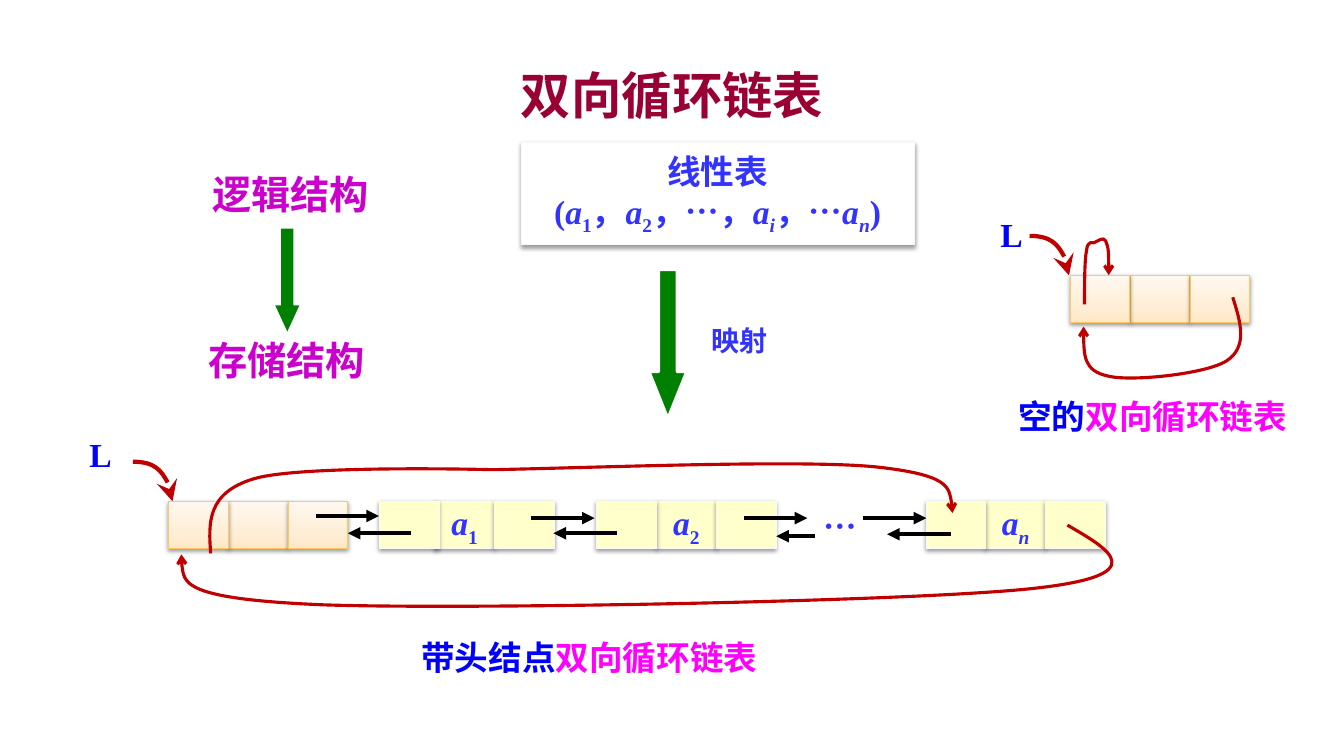
"""Build a slide on the doubly linked circular list."""
from copy import deepcopy

from lxml import etree
from pptx import Presentation
from pptx.dml.color import RGBColor
from pptx.enum import shapes, text
from pptx.oxml import ns
from pptx.util import Pt

WHITE = RGBColor(0xFF, 0xFF, 0xFF)
BLACK = RGBColor(0, 0, 0)
EDGE = RGBColor(0xF9, 0xF9, 0xF9)
YELLOW = RGBColor(0xFF, 0xFF, 0xCC)
ORANGE = RGBColor(0xFD, 0xC9, 0x60)
PEACH = [(0, RGBColor(0xFF, 0xE7, 0xC6)), (0.35, RGBColor(0xFF, 0xEE, 0xD7)),
         (1, RGBColor(0xFF, 0xF8, 0xF0))]
GREEN = RGBColor(0, 0x80, 0)
RED = RGBColor(0xC0, 0, 0)
MAROON = RGBColor(0x99, 0, 0x33)
PURPLE = RGBColor(0xCC, 0, 0xCC)
INDIGO = RGBColor(0x33, 0x33, 0xFF)
BLUE = RGBColor(0, 0, 0xFF)
MAGENTA = RGBColor(0xFF, 0, 0xFF)
SERIF, SANS = "Times New Roman", "Noto Sans CJK SC"
CENTER, LEFT = text.PP_ALIGN.CENTER, text.PP_ALIGN.LEFT

CELL_WIDTH, CELL_HEIGHT, CELL_PITCH = 42.7, 34, 42.8
LIST_TOP, EMPTY_TOP = 358.1, 196.6
ITALIC, SUB, ITALIC_SUB = "i", "s", "is"
SEQUENCE = [[("线性表", "")],
            [("(", ""), ("a", ITALIC), ("1", SUB), ("，", ""), ("a", ITALIC), ("2", SUB),
             ("，…，", ""), ("a", ITALIC), ("i", ITALIC_SUB), ("，…", ""), ("a", ITALIC),
             ("n", ITALIC_SUB), (")", "")]]
HEADERS = [(120.3, LIST_TOP), (764.5, EMPTY_TOP)]
NODES = [(271, 310.5, ("1", SUB)), (426.3, 468.9, ("2", SUB)), (661.5, 704.1, ("n", ITALIC_SUB))]
LABELS = [
    ((72, 40.4, 816, 54), [("双向循环链表", MAROON)], 36, SANS, CENTER),
    ((139.7, 118.1, 136, 41), [("逻辑结构", PURPLE)], 28, SERIF, CENTER),
    ((136.8, 236.9, 136, 41), [("存储结构", PURPLE)], 28, SERIF, CENTER),
    ((491.6, 227.5, 73.4, 31), [("映射", INDIGO)], 20, SANS, CENTER),
    ((577.4, 357.8, 45.4, 36), [("…", INDIGO)], 24, SANS, CENTER),
    ((56.7, 306.3, 33.8, 36), [("L", BLUE)], 24, SERIF, LEFT),
    ((707.4, 149, 33.8, 36), [("L", BLUE)], 24, SERIF, LEFT),
    ((293.8, 451.4, 307.4, 36), [("带头结点", BLUE), ("双向循环链表", MAGENTA)], 24, SERIF, LEFT),
    ((720.3, 279.4, 209.5, 36), [("空的", BLUE), ("双向循环链表", MAGENTA)], 24, SERIF, LEFT),
]
MAPPINGS = [((463, 192.2, 28.1, 108), 1.249, WHITE), ((196.6, 163.4, 17.3, 73.4), 1.083, None)]
LINKS = [(225.4, 270.7, 368.6), (379.4, 424.8, 370.1), (531.4, 576.7, 370.1),
         (616.3, 661.7, 370.1), (293.8, 248.4, 380.9), (440.6, 395.3, 380.9),
         (582.5, 554.4, 383), (679, 633.6, 381.6)]
POINTERS = [(95, 329.8), (735.4, 168.5)]
POINTER_SIZE, POINTER_PULL = 28.2, 15.5
LOOPS = [
    [(762.5, 375.1), (793.4, 393.1), (825.1, 411.1), (736.6, 420.5),
     (648, 429.8), (331.2, 435.6), (229.7, 432), (128.9, 427.7), (129.6, 411.8), (129.6, 396)],
    [(150.5, 395.3), (149, 373.7), (147.6, 352.1), (181.4, 342), (214.6, 331.9), (352.1, 335.5),
     (352.1, 335.5), (425.5, 334.1), (569.5, 328.3), (624.2, 333.4), (679, 339.1),
     (679.7, 352.8), (680.4, 366.5)],
    [(880.6, 212.4), (886.3, 230.4), (891.4, 247.7), (876.2, 257.8), (861.8, 267.1),
     (807.8, 272.9), (791.3, 268.6), (774, 265), (774, 249.1), (774, 233.3)],
    [(774.7, 217.4), (774.7, 201.6), (774.7, 185.8), (776.2, 178.6), (776.9, 171.4),
     (781.2, 173.5), (781.2, 173.5), (783.4, 172.8), (788.4, 168.5), (789.8, 172.1),
     (792, 176.4), (792, 186.5), (792, 196.6)],
]


def write(para, words, size=24, font=SERIF, color=INDIGO, style=""):
    """Add one bold span of text to a paragraph."""
    span = para.add_run()
    span.text = words
    span.font.size, span.font.name, span.font.bold = Pt(size), font, True
    span.font.color.rgb = color
    span.font.italic = "i" in style
    props = span.font._element
    if "s" in style:
        props.set("baseline", "-25000")
    etree.SubElement(props, ns.qn("a:ea"), typeface=SANS)


def fill_text(shape, lines):
    """Centre styled lines in a shape."""
    frame = shape.text_frame
    frame.word_wrap = False
    frame.vertical_anchor = text.MSO_ANCHOR.MIDDLE
    for index, line in enumerate(lines):
        para = frame.add_paragraph() if index else frame.paragraphs[0]
        para.alignment = CENTER
        for words, style in line:
            write(para, words, style=style)


def add_card(page, place, fill, edge):
    """Add a shadowed rectangle with a plain or gradient fill."""
    card = page.shapes.add_shape(shapes.MSO_SHAPE.RECTANGLE, *map(Pt, place))
    card.line.color.rgb, card.line.width = edge, Pt(0.75)
    if fill is PEACH:
        card.fill.gradient()
        card.fill.gradient_angle = 90
        stops = card._element.spPr.find(".//" + ns.qn("a:gsLst"))
        stops.insert(1, deepcopy(stops[0]))
        for stop, (position, color) in zip(card.fill.gradient_stops, PEACH):
            stop.position, stop.color.rgb = position, color
    else:
        card.fill.solid()
        card.fill.fore_color.rgb = fill
    card.shadow.inherit = False
    effects = card._element.spPr.find(ns.qn("a:effectLst"))
    shade = etree.SubElement(effects, ns.qn("a:outerShdw"), blurRad="40000", dist="20000",
                             dir="5400000", rotWithShape="0")
    tint = etree.SubElement(shade, ns.qn("a:srgbClr"), val="000000")
    etree.SubElement(tint, ns.qn("a:alpha"), val="38000")
    return card


def add_node(page, first, second, top, fill, edge):
    """Add the three cells of a list node and return the middle one."""
    cells = [add_card(page, (left, top, CELL_WIDTH, CELL_HEIGHT), fill, edge)
             for left in (second, second + CELL_PITCH, first)]
    return cells[0]


def style_line(shape, color, width, head, size="med"):
    """Colour a line and give its end an arrowhead."""
    shape.line.color.rgb, shape.line.width = color, Pt(width)
    etree.SubElement(shape.line._get_or_add_ln(), ns.qn("a:tailEnd"),
                     type=head, w=size, len=size)


def add_curve(page, points, width, head, size="med"):
    """Draw a chain of cubic curves, given as start and control points."""
    start, *controls = [tuple(map(Pt, point)) for point in points]
    builder = page.shapes.build_freeform(*start)
    builder.add_line_segments(controls, close=False)
    curve = builder.convert_to_shape()
    outline = curve._element.spPr.find(".//" + ns.qn("a:path"))
    segments = outline.findall(ns.qn("a:lnTo"))
    for first in range(0, len(segments), 3):
        bend = etree.SubElement(outline, ns.qn("a:cubicBezTo"))
        for segment in segments[first:first + 3]:
            bend.append(segment[0])
            outline.remove(segment)
    curve.fill.background()
    curve.shadow.inherit = False
    style_line(curve, RED, width, head, size)


def main():
    """Lay out the slide and save it."""
    deck = Presentation()
    deck.slide_width, deck.slide_height = Pt(960), Pt(540)
    page = deck.slides.add_slide(deck.slide_layouts[6])

    fill_text(add_card(page, (372.2, 101.6, 280.8, 73.4), WHITE, EDGE), SEQUENCE)
    for place, head, edge in MAPPINGS:
        arrow = page.shapes.add_shape(shapes.MSO_SHAPE.DOWN_ARROW, *map(Pt, place))
        arrow.adjustments[0], arrow.adjustments[1] = 0.5, head
        arrow.fill.solid()
        arrow.fill.fore_color.rgb = GREEN
        arrow.shadow.inherit = False
        if edge is None:
            arrow.line.fill.background()
        else:
            arrow.line.color.rgb, arrow.line.width = edge, Pt(3)

    for left, top in HEADERS:
        add_node(page, left, left + CELL_PITCH, top, PEACH, ORANGE)
    for first, second, index in NODES:
        fill_text(add_node(page, first, second, LIST_TOP, YELLOW, EDGE), [[("a", ITALIC), index]])

    for place, parts, size, font, align in LABELS:
        box = page.shapes.add_textbox(*map(Pt, place))
        box.text_frame.word_wrap = True
        box.text_frame.vertical_anchor = text.MSO_ANCHOR.MIDDLE
        para = box.text_frame.paragraphs[0]
        para.alignment = align
        for words, color in parts:
            write(para, words, size, font, color)

    for start, end, y in LINKS:
        link = page.shapes.add_connector(shapes.MSO_CONNECTOR.STRAIGHT,
                                         *map(Pt, (start, y, end, y)))
        style_line(link, BLACK, 3, "triangle")
        etree.SubElement(link._element.spPr, ns.qn("a:effectLst"))
    for x, y in POINTERS:
        right, bottom = x + POINTER_SIZE, y + POINTER_SIZE
        add_curve(page, [(x, y), (x + POINTER_PULL, y), (right, bottom - POINTER_PULL),
                         (right, bottom)], 3, "stealth", "lg")
    for loop in LOOPS:
        add_curve(page, loop, 2.25, "arrow")
    deck.save("out.pptx")


if __name__ == "__main__":
    main()
